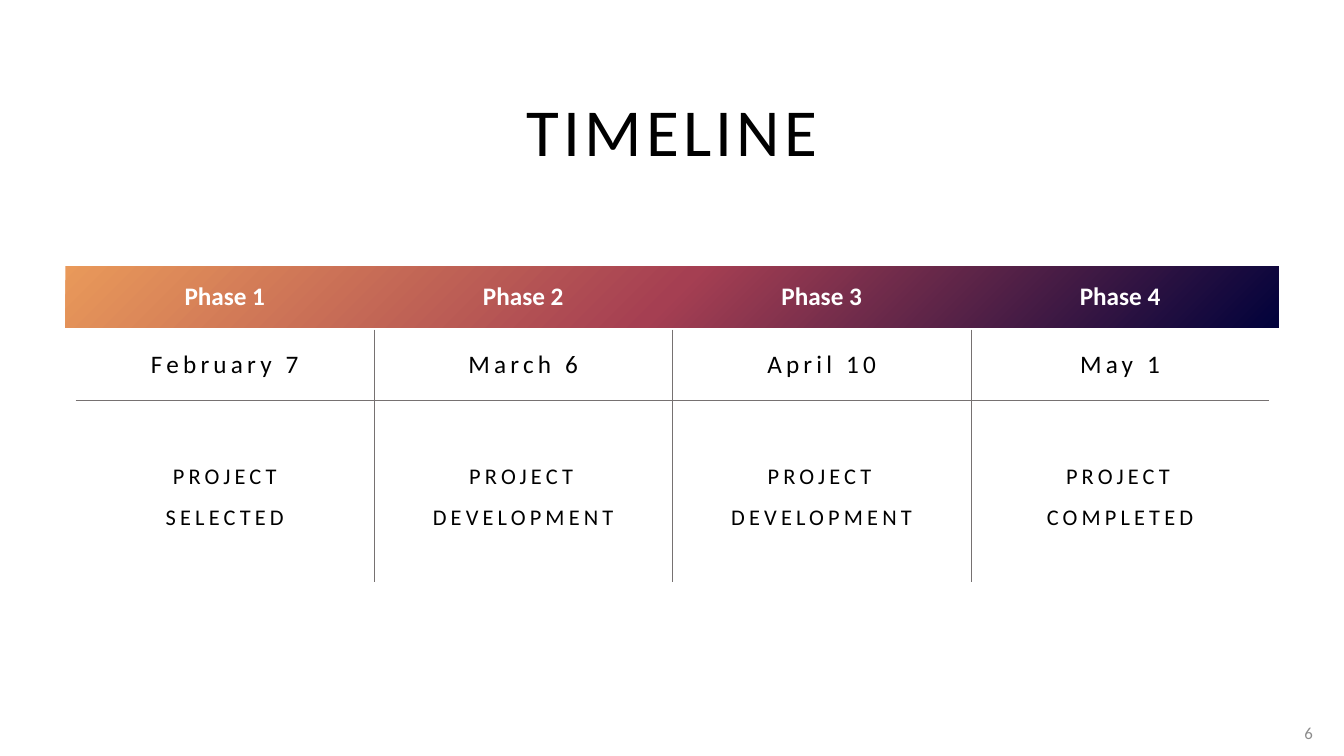
from pptx import Presentation
from pptx.dml.color import RGBColor
from pptx.enum.shapes import MSO_SHAPE
from pptx.enum.text import MSO_ANCHOR, PP_ALIGN
from pptx.oxml import parse_xml
from pptx.oxml.ns import nsdecls, qn
from pptx.util import Inches, Pt

FONT = "Calibri"
BLACK = RGBColor(0x00, 0x00, 0x00)
WHITE = RGBColor(0xFF, 0xFF, 0xFF)
GREY = RGBColor(0x8C, 0x8C, 0x8C)
RULE = RGBColor(0x76, 0x71, 0x71)
NAVY = RGBColor(0x01, 0x02, 0x3B)
ROSE = RGBColor(0xA5, 0x3F, 0x52)
ORANGE = RGBColor(0xE9, 0x99, 0x5A)

NO_STYLE_NO_GRID = "{2D5ABB26-0587-4C30-8999-92F81FD0307C}"
COLUMN_WIDTH = 2.96
ROW_HEIGHTS = (0.64, 0.7, 1.8)
# A newline starts a paragraph, a vertical tab breaks a line.
PHASES = (
    ("Phase 1", "February 7", "PROJECT\nSELECTED"),
    ("Phase 2", "March 6", "PROJECT DEVELOPMENT"),
    ("Phase 3", "April 10", "PROJECT\vDEVELOPMENT"),
    ("Phase 4", "May 1", "PROJECT\vCOMPLETED"),
)
ROW_STYLES = (
    {"size": 18, "color": WHITE, "bold": True},
    {"size": 18, "color": BLACK, "spacing": 3},
    {"size": 16, "color": BLACK, "spacing": 3, "line_spacing": 1.5},
)


def write_text(text_frame, text, size, color, bold=False, spacing=0,
               line_spacing=None, align=PP_ALIGN.CENTER):
    """Fill a text frame; spacing is the extra gap between letters in points."""
    text_frame.text = text
    text_frame.word_wrap = True
    for paragraph in text_frame.paragraphs:
        paragraph.alignment = align
        if line_spacing:
            paragraph.line_spacing = line_spacing
        for run in paragraph.runs:
            run.font.name = FONT
            run.font.size = Pt(size)
            run.font.bold = bold
            run.font.color.rgb = color
            if spacing:
                run.font._element.set("spc", str(spacing * 100))


def add_text(slide, left, top, width, height, text, **style):
    box = slide.shapes.add_textbox(
        Inches(left), Inches(top), Inches(width), Inches(height))
    box.text_frame.vertical_anchor = MSO_ANCHOR.MIDDLE
    write_text(box.text_frame, text, **style)


def add_header_band(slide):
    """Add the bar behind the header row, shaded outward from bottom right."""
    band = slide.shapes.add_shape(
        MSO_SHAPE.RECTANGLE, Inches(0.65), Inches(2.64), Inches(12.03), Inches(0.61))
    band.shadow.inherit = False
    band.line.fill.background()
    stops = "".join(
        f'<a:gs pos="{position * 1000}"><a:srgbClr val="{color}"/></a:gs>'
        for position, color in ((0, NAVY), (50, ROSE), (100, ORANGE)))
    gradient = parse_xml(
        f'<a:gradFill {nsdecls("a")} rotWithShape="1"><a:gsLst>{stops}</a:gsLst>'
        '<a:path path="circle"><a:fillToRect l="100000" t="100000"/></a:path>'
        '</a:gradFill>')
    band._element.spPr.find(qn("a:prstGeom")).addnext(gradient)


def add_borders(cell, sides):
    properties = cell._tc.get_or_add_tcPr()
    for side in sides:
        properties.append(parse_xml(
            f'<a:ln{side} {nsdecls("a")} w="{Pt(0.25)}"><a:solidFill>'
            f'<a:srgbClr val="{RULE}"/></a:solidFill></a:ln{side}>'))


def inner_sides(row, column):
    """Return the sides of a body cell that touch another body cell."""
    touching = {
        "L": column > 0,
        "R": column < len(PHASES) - 1,
        "T": row > 1,
        "B": row < len(ROW_HEIGHTS) - 1,
    }
    return [side for side, touches in touching.items() if row > 0 and touches]


def add_phase_table(slide):
    table = slide.shapes.add_table(
        len(ROW_HEIGHTS), len(PHASES), Inches(0.75), Inches(2.63),
        Inches(COLUMN_WIDTH * len(PHASES)), Inches(sum(ROW_HEIGHTS))).table
    table.horz_banding = False
    table._tbl.tblPr.find(qn("a:tableStyleId")).text = NO_STYLE_NO_GRID
    for row, height in enumerate(ROW_HEIGHTS):
        table.rows[row].height = Inches(height)
    for column, phase in enumerate(PHASES):
        table.columns[column].width = Inches(COLUMN_WIDTH)
        for row, text in enumerate(phase):
            cell = table.cell(row, column)
            write_text(cell.text_frame, text, **ROW_STYLES[row])
            cell.vertical_anchor = MSO_ANCHOR.MIDDLE
            add_borders(cell, inner_sides(row, column))
            cell.fill.background()


def main():
    presentation = Presentation()
    presentation.slide_width = Inches(13.33)
    presentation.slide_height = Inches(7.5)
    slide = presentation.slides.add_slide(presentation.slide_layouts[6])
    add_header_band(slide)
    add_text(slide, 0.65, 0.84, 12.03, 0.9, "TIMELINE",
             size=48, color=BLACK, spacing=3)
    add_phase_table(slide)
    add_text(slide, 12.63, 7.07, 0.49, 0.4, "6",
             size=12, color=GREY, align=PP_ALIGN.RIGHT)
    presentation.save("out.pptx")


if __name__ == "__main__":
    main()
